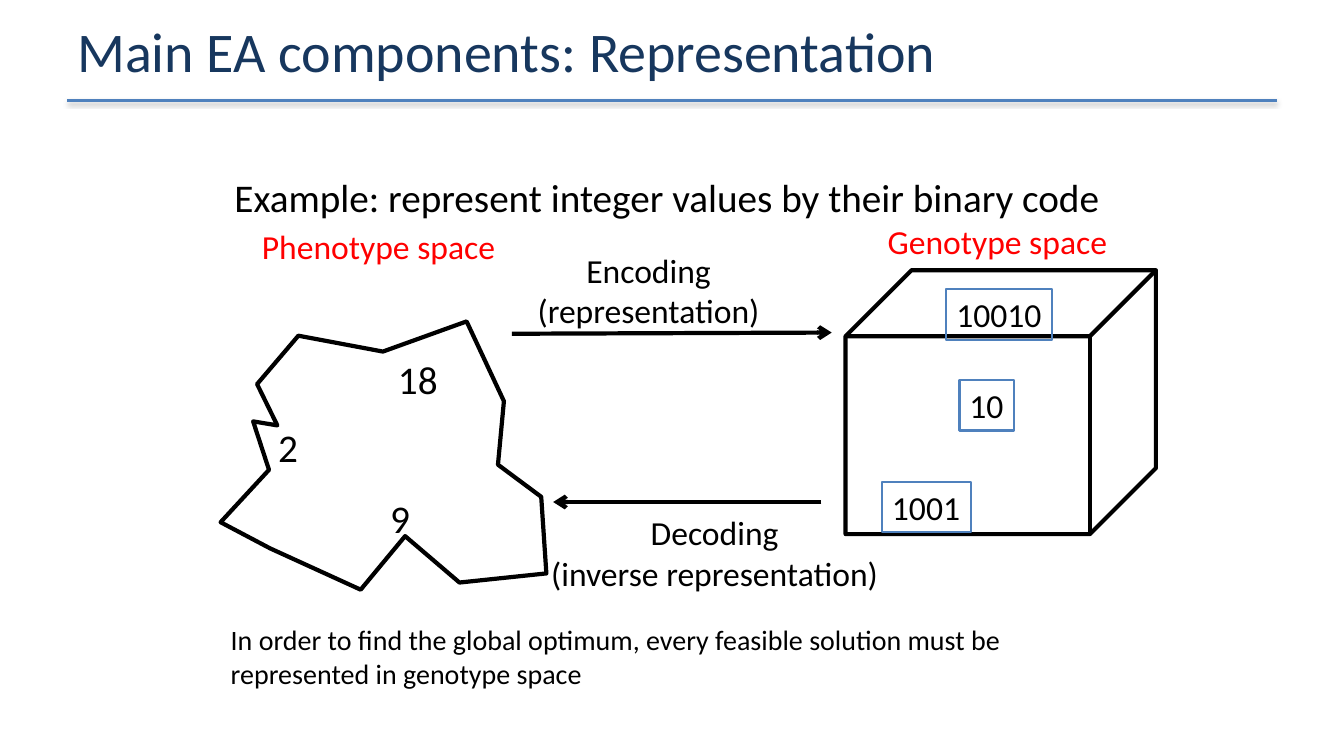
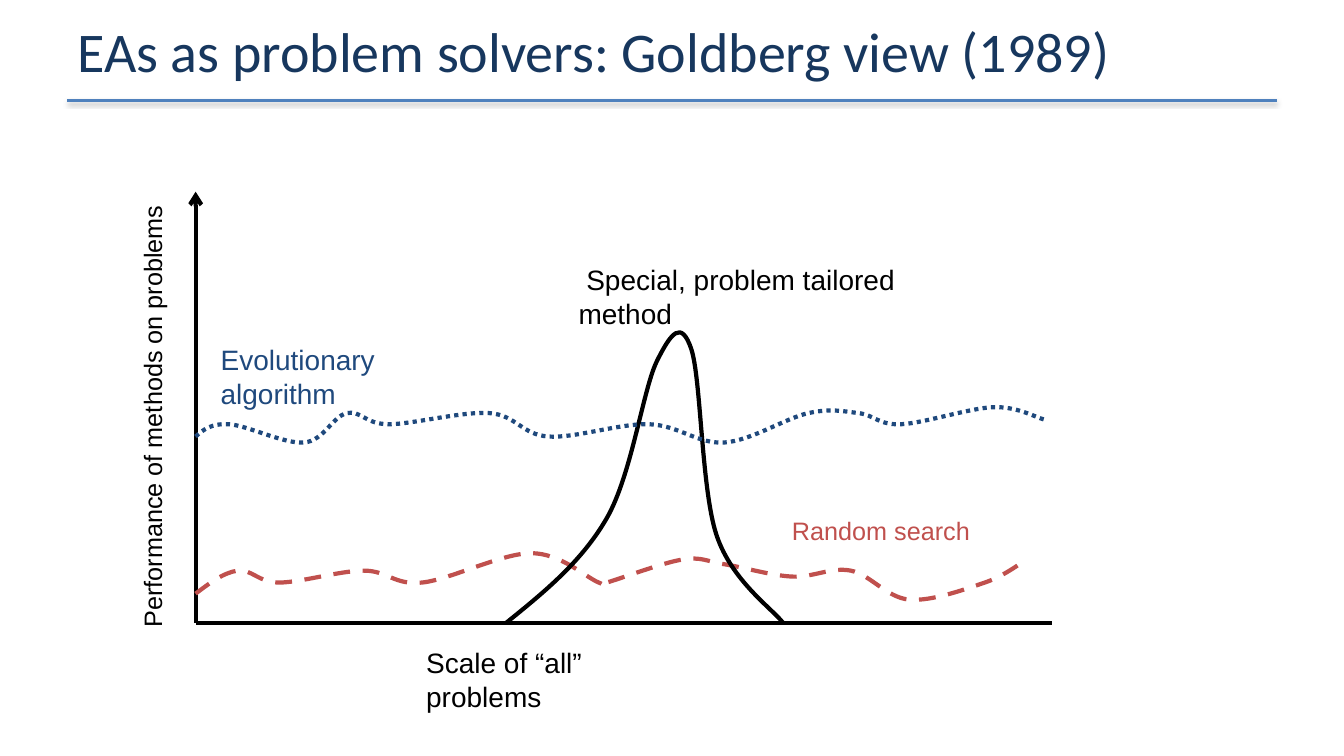
from dataclasses import dataclass

from lxml import etree
from pptx import Presentation
from pptx.dml.color import RGBColor
from pptx.enum.dml import MSO_LINE
from pptx.enum.shapes import MSO_CONNECTOR, MSO_SHAPE
from pptx.enum.text import MSO_ANCHOR, MSO_AUTO_SIZE, PP_ALIGN
from pptx.oxml.ns import qn
from pptx.util import Cm, Pt

CUBE = MSO_SHAPE.CUBE
STRAIGHT = MSO_CONNECTOR.STRAIGHT
LEFT, CENTER = PP_ALIGN.LEFT, PP_ALIGN.CENTER
MIDDLE = MSO_ANCHOR.MIDDLE
NO_FIT = MSO_AUTO_SIZE.NONE
DASH, DOT = MSO_LINE.DASH, MSO_LINE.ROUND_DOT
CONTENT_LAYOUT, TITLE_LAYOUT = 1, 5


@dataclass(frozen=True)
class Theme:
    title: str = "17375E"
    ink: str = "000000"
    space: str = "FF0000"
    accent: str = "4F81BD"
    evolution: str = "1F497D"
    random: str = "C0504D"
    font: str = "Calibri"
    chart_font: str = "Arial"
    title_size: int = 40
    lead_size: int = 28
    label_size: int = 24
    note_size: int = 20
    axis_size: int = 18
    stroke: float = 3
    rule: float = 2
    frame: float = 1.5


T = Theme()

TITLE_BOX = (1.7, 0.05, 30.48, 2.41)
TITLE_RULE = ((1.7, 2.54), (32.18, 2.54))

REPRESENTATION = "Main EA components: Representation"
NOTE = ("In order to find the global optimum, every feasible solution must be "
        "represented in genotype space")
NOTE_BOX = (5.56, 15.57, 22.86, 1.52)
EXAMPLE = "Example: represent integer values by their binary code"
EXAMPLE_BOX = (5.66, 4.24, 23.37, 1.52)
SPACES = [
    ("Genotype space", (22.12, 5.44, 6.1, 1.27)),
    ("Phenotype space", (6.35, 5.56, 6.45, 1.27)),
]
MAPPINGS = [
    ("Encoding\n(representation)", (13.26, 6.17, 6.17, 2.31), ((12.9, 8.41), (20.96, 8.38))),
    ("Decoding\n(inverse representation)", (13.59, 12.78, 8.84, 2.31), ((20.7, 12.65), (13.94, 12.65))),
]
INTEGERS = [("18", 9.78, 8.84), ("2", 6.76, 10.54), ("9", 9.58, 12.34)]
INTEGER_SIZE = (2.26, 1.45)
CODES = [("10", 24.18, 9.58, 1.37), ("1001", 22.23, 12.14, 2.24), ("10010", 23.85, 7.29, 2.67)]
CODE_HEIGHT = 1.27
CUBE_BOX = (21.31, 6.81, 7.82, 6.65)
PHENOTYPE_OUTLINE = [
    (6.99, 10.72), (6.48, 9.68), (7.52, 8.46), (9.65, 8.86), (11.76, 8.1), (12.7, 10.11),
    (12.55, 11.71), (13.64, 12.52), (13.77, 14.45), (11.58, 14.68), (10.21, 13.51),
    (9.09, 14.86), (6.81, 13.82), (5.56, 13.16), (6.78, 11.84), (6.38, 10.62),
]

GOLDBERG = "EAs as problem solvers: Goldberg view (1989)"
ORIGIN, X_END, Y_END = (4.93, 15.7), (26.52, 15.7), (4.93, 4.83)
X_LABEL = ("Scale of “all” problems", (10.49, 16.15, 5.08, 1.95))
Y_LABEL = ("Performance of methods on problems", (-1.73, 9.98, 11.13, 1.02))
METHODS = [
    ("Random search", (19.71, 12.85, 5.03, 1.02), T.axis_size, T.random, DASH, [
        (4.93, 14.96), (5.99, 14.38), (7.04, 14.68), (9.17, 14.38), (10.64, 14.68),
        (13.39, 13.94), (15.09, 14.68), (15.29, 14.68), (17.2, 14.1), (18.26, 14.22),
        (19.96, 14.53), (21.44, 14.38), (22.91, 15.11), (24.82, 14.68), (25.88, 14.1)]),
    (" Special, problem tailored method", (14.33, 6.5, 9.14, 1.95), T.note_size, T.ink, None, [
        (12.75, 15.7), (15.29, 13.06), (16.56, 9.09), (17.42, 8.79), (18.06, 13.49), (19.74, 15.7)]),
    ("Evolutionary algorithm", (5.31, 8.51, 4.6, 1.95), T.note_size, T.evolution, DOT, [
        (4.93, 11), (5.77, 10.69), (7.67, 11.15), (8.74, 10.41), (9.8, 10.69),
        (12.34, 10.41), (13.82, 11), (16.36, 10.69), (18.26, 11.15), (20.37, 10.41),
        (21.64, 10.41), (22.71, 10.69), (25.04, 10.26), (26.31, 10.57)]),
]


def cm(values):
    return [Cm(v) for v in values]


def write(tf, text, size=T.label_size, color=T.ink, font=T.font, align=LEFT, wrap=True):
    tf.word_wrap = wrap
    tf.auto_size = NO_FIT
    for i, line in enumerate(text.split("\n")):
        p = tf.add_paragraph() if i else tf.paragraphs[0]
        p.alignment = align
        r = p.add_run()
        r.text = line
        r.font.size, r.font.name = Pt(size), font
        r.font.color.rgb = RGBColor.from_string(color)


def add_label(slide, text, box, **style):
    sp = slide.shapes.add_textbox(*cm(box))
    write(sp.text_frame, text, **style)
    return sp


def set_line(sp, color=T.ink, width=T.stroke, dash=None):
    sp.line.color.rgb = RGBColor.from_string(color)
    sp.line.width = Pt(width)
    if dash:
        sp.line.dash_style = dash


def add_line(slide, start, end, arrow=False, **style):
    ln = slide.shapes.add_connector(STRAIGHT, *cm(start + end))
    set_line(ln, **style)
    if arrow:
        etree.SubElement(ln.line._get_or_add_ln(), qn("a:tailEnd"), type="arrow")
    etree.SubElement(ln.element.spPr, qn("a:effectLst"))
    return ln


def add_outline(slide, points, close=False, **style):
    first, *rest = [cm(pt) for pt in points]
    builder = slide.shapes.build_freeform(*first)
    builder.add_line_segments(rest, close=close)
    sp = builder.convert_to_shape()
    sp.fill.background()
    sp.shadow.inherit = False
    set_line(sp, **style)
    return sp


def spline(nodes):
    padded = [nodes[0], *nodes, nodes[-1]]
    points = [nodes[0]]
    for before, a, b, after in zip(padded, padded[1:], padded[2:], padded[3:]):
        c1 = [q + (s - o) / 6 for o, q, s in zip(before, a, b)]
        c2 = [s - (t - q) / 6 for q, s, t in zip(a, b, after)]
        if a == nodes[0]:
            c1 = [(q + s) / 2 for q, s in zip(a, c2)]
        points += [c1, c2, b]
    return points


def add_curve(slide, nodes, **style):
    sp = add_outline(slide, spline(nodes), **style)
    segments = sp.element.xpath(".//a:lnTo")
    parent = segments[0].getparent()
    for i in range(0, len(segments), 3):
        curve = etree.SubElement(parent, qn("a:cubicBezTo"))
        for segment in segments[i:i + 3]:
            curve.append(segment[0])
            parent.remove(segment)


def place(sp, box):
    sp.left, sp.top, sp.width, sp.height = cm(box)


def format_master(master, slide):
    title = master.placeholders[0]
    place(title, TITLE_BOX)
    tf = title.text_frame
    tf.margin_left = tf.margin_right = Cm(0.25)
    tf.margin_top = tf.margin_bottom = 0
    tf.vertical_anchor = MIDDLE
    rule = add_line(slide, *TITLE_RULE, color=T.accent, width=T.rule)
    effects = rule.element.spPr.find(qn("a:effectLst"))
    shadow = etree.SubElement(effects, qn("a:outerShdw"), blurRad="40000", dist="20000",
                              dir="5400000", rotWithShape="0")
    tint = etree.SubElement(shadow, qn("a:srgbClr"), val=T.ink)
    etree.SubElement(tint, qn("a:alpha"), val="38000")
    rule.element.xpath(".//p:cNvPr")[0].set("id", "99")
    master.shapes.element.append(rule.element)


def add_slide(prs, layout, title):
    slide = prs.slides.add_slide(prs.slide_layouts[layout])
    write(slide.shapes.title.text_frame, title, size=T.title_size, color=T.title)
    return slide


def build_representation(prs):
    slide = add_slide(prs, CONTENT_LAYOUT, REPRESENTATION)
    body = slide.placeholders[1]
    place(body, NOTE_BOX)
    write(body.text_frame, NOTE, size=T.note_size)
    pPr = body.text_frame.paragraphs[0]._p.get_or_add_pPr()
    pPr.set("marL", "0")
    pPr.set("indent", "0")
    etree.SubElement(pPr, qn("a:buNone"))

    cube = slide.shapes.add_shape(CUBE, *cm(CUBE_BOX))
    cube.fill.background()
    cube.shadow.inherit = False
    set_line(cube)
    add_outline(slide, PHENOTYPE_OUTLINE, close=True)
    for text, box in SPACES:
        add_label(slide, text, box, color=T.space, wrap=False)
    for text, box, (start, end) in MAPPINGS:
        add_line(slide, start, end, arrow=True)
        add_label(slide, text, box, align=CENTER, wrap=False)
    for text, x, y, width in CODES:
        sp = add_label(slide, text, (x, y, width, CODE_HEIGHT), wrap=False)
        set_line(sp, T.accent, T.frame)
    for text, x, y in INTEGERS:
        add_label(slide, text, (x, y, *INTEGER_SIZE), size=T.lead_size)
    add_label(slide, EXAMPLE, EXAMPLE_BOX, size=T.lead_size)
    return slide


def build_goldberg(prs):
    slide = add_slide(prs, TITLE_LAYOUT, GOLDBERG)
    add_line(slide, ORIGIN, X_END)
    add_line(slide, ORIGIN, Y_END, arrow=True)
    add_label(slide, *X_LABEL, size=T.note_size, font=T.chart_font)
    sp = add_label(slide, *Y_LABEL, size=T.axis_size, font=T.chart_font, wrap=False)
    sp.rotation = 270
    for text, box, size, color, dash, nodes in METHODS:
        add_curve(slide, nodes, color=color, dash=dash)
        add_label(slide, text, box, size=size, color=color, font=T.chart_font)


def main():
    prs = Presentation()
    prs.slide_width, prs.slide_height = Cm(33.87), Cm(19.05)
    first = build_representation(prs)
    format_master(prs.slide_master, first)
    build_goldberg(prs)
    prs.save("out.pptx")


if __name__ == "__main__":
    main()
